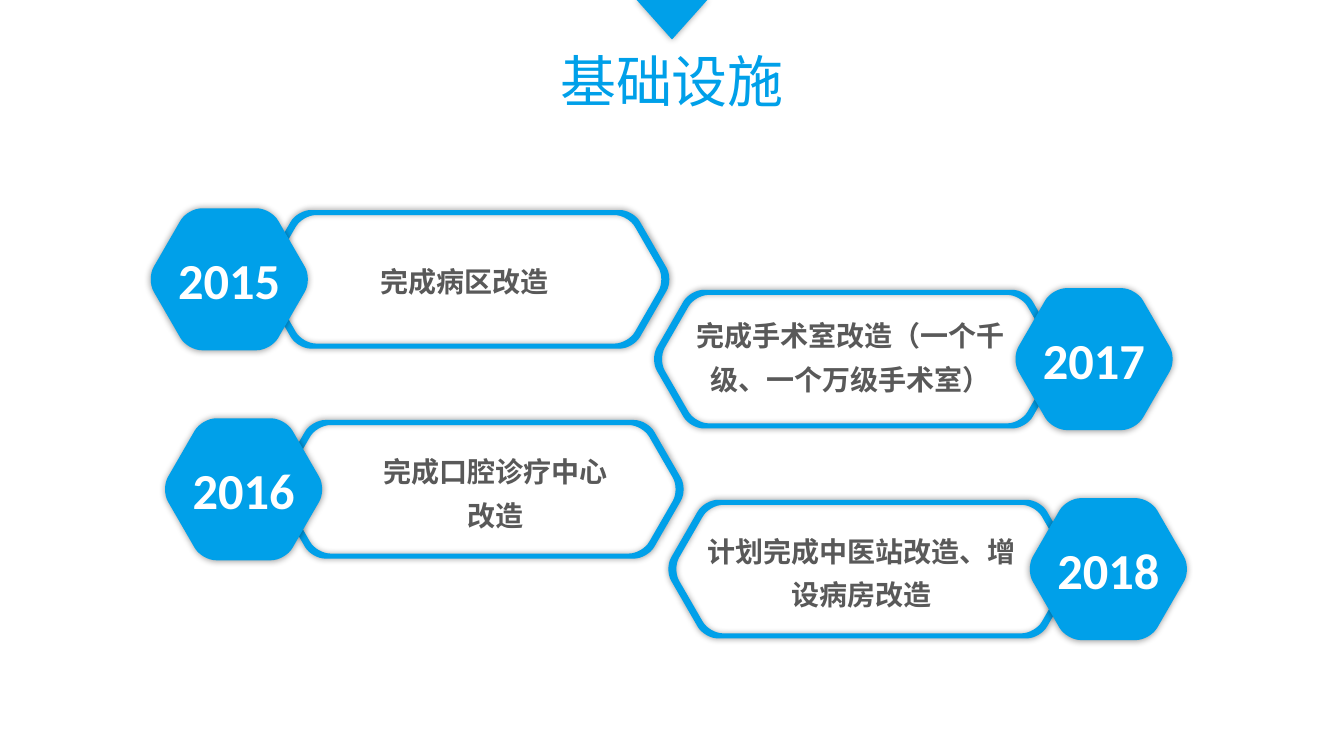
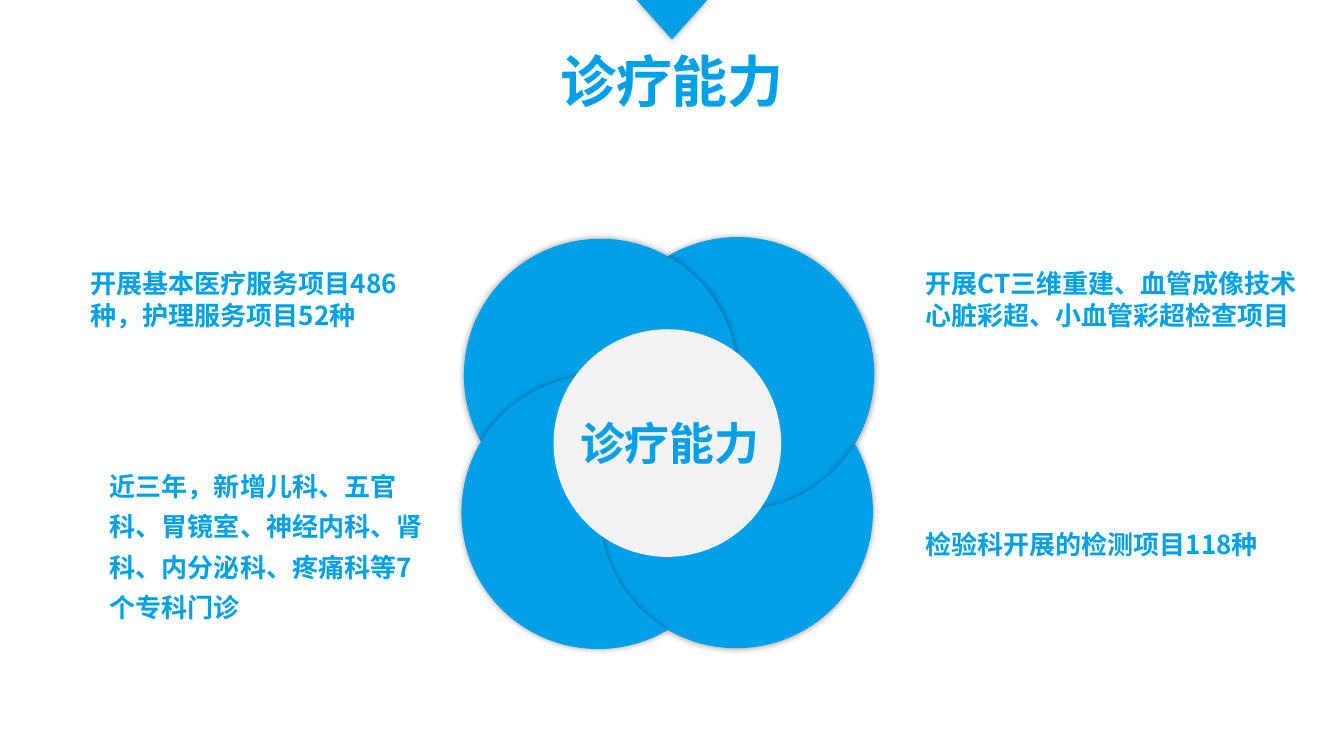
from math import acos, atan2, ceil, cos, hypot, pi, sin, sqrt, tan

from lxml.etree import SubElement
from pptx import Presentation
from pptx.dml.color import RGBColor
from pptx.enum.shapes import MSO_SHAPE
from pptx.enum.text import MSO_ANCHOR, MSO_AUTO_SIZE, PP_ALIGN
from pptx.oxml.ns import qn
from pptx.util import Inches, Pt

# Square grid of 160 columns by 90 rows; all lengths below are in cells
COLUMNS, ROWS = 160, 90
CELL = Inches(1) / 12

BLUE, GREY, PALE, WHITE = "00A0E9", "595959", "F2F2F2", "FFFFFF"
CJK = "Noto Sans CJK JP"


def cells(*lengths):
    return [round(length * CELL) for length in lengths]


def color(hex_string):
    return RGBColor.from_string(hex_string)


# Shared elements
def paint(shape, fill, glow=True):
    shape.fill.solid()
    shape.fill.fore_color.rgb = color(fill)
    shape.line.fill.background()
    shape.shadow.inherit = False
    if glow:
        effects = shape._element.spPr.find(qn("a:effectLst"))
        shadow = SubElement(effects, qn("a:outerShdw"), blurRad=str(Pt(5)),
                            dist="0", dir="0", algn="ctr", rotWithShape="0")
        black = SubElement(shadow, qn("a:srgbClr"), val="000000")
        SubElement(black, qn("a:alpha"), val="40000")


def write(frame, text, size, fill, font=CJK, bold=True, align=PP_ALIGN.LEFT,
          spacing=None, before=None):
    frame.word_wrap = True
    frame.text = text
    for paragraph in frame.paragraphs:
        paragraph.alignment = align
        paragraph.line_spacing = spacing
        paragraph.space_before = before
        paragraph._p.get_or_add_pPr().set("hangingPunct", "0")
        for run in paragraph.runs:
            run.font.size = Pt(size)
            run.font.bold = bold
            run.font.name = font
            run.font.color.rgb = color(fill)
            SubElement(run.font._element, qn("a:ea"), typeface=CJK)


def add_text(slide, box, text, size, fill, **style):
    frame = slide.shapes.add_textbox(*cells(*box)).text_frame
    write(frame, text, size, fill, **style)
    frame.auto_size = MSO_AUTO_SIZE.SHAPE_TO_FIT_TEXT
    return frame


def add_outline(slide, x, y, width, height, *contours):
    """Freeform centred on x, y; a step of one point is a line, of three a curve."""
    left, top = x - width / 2, y - height / 2
    right, bottom = left + width, top + height
    builder = slide.shapes.build_freeform(*cells(left, top), scale=1.0)
    builder.add_line_segments([cells(right, top), cells(right, bottom),
                               cells(left, bottom)], close=True)
    shape = builder.convert_to_shape()
    outline = shape._element.find(".//" + qn("a:path"))
    for edge in list(outline):
        outline.remove(edge)
    for contour in contours:
        for i, step in enumerate(contour):
            kind = "moveTo" if i == 0 else "lnTo" if len(step) == 1 else "cubicBezTo"
            edge = SubElement(outline, qn("a:" + kind))
            for point in step:
                across, down = cells(point[0] - left, point[1] - top)
                SubElement(edge, qn("a:pt"), x=str(across), y=str(down))
        SubElement(outline, qn("a:close"))
    paint(shape, BLUE)
    return shape


def add_titled_slide(deck, title, bold):
    slide = deck.slides.add_slide(deck.slide_layouts[6])
    width = 72.4
    heading = add_text(slide, ((COLUMNS - width) / 2, 5.1, width, 9), title, 40,
                       BLUE, bold=bold, align=PP_ALIGN.CENTER)
    heading.margin_left = heading.margin_right = Inches(0.07)
    heading.margin_top = heading.margin_bottom = Inches(0.04)
    width = 8.4
    pointer = slide.shapes.add_shape(
        MSO_SHAPE.ISOSCELES_TRIANGLE,
        *cells((COLUMNS - width) / 2, 0, width, 4.7))
    pointer.rotation = 180
    paint(pointer, BLUE)
    return slide


# Milestones
def toward(start, end, share):
    return [a + (b - a) * share for a, b in zip(start, end)]


def rounded_hexagon(x, y, width, height, cut):
    """Contour of a 60-degree hexagon centred on x, y, its corners rounded."""
    side, rise = width / 2, height / 2
    top = side - rise / sqrt(3)
    corners = [(x - side, y), (x - top, y - rise), (x + top, y - rise),
               (x + side, y), (x + top, y + rise), (x - top, y + rise)]
    contour = []
    for i, corner in enumerate(corners):
        first, last = [
            toward(corner, other, cut / hypot(other[0] - corner[0],
                                              other[1] - corner[1]))
            for other in (corners[i - 1], corners[(i + 1) % 6])]
        bend = [toward(first, corner, 0.55), toward(last, corner, 0.55), last]
        contour += [[first], bend]
    return contour


def add_milestone(slide, year, x, y, side):
    frame_x = x + side * 28.1
    add_outline(slide, frame_x, y, 48.6, 16.5,
                rounded_hexagon(frame_x, y, 49.5, 16.5, 1.6),
                rounded_hexagon(frame_x, y, 47.6, 15.3, 1.6))
    badge = add_outline(slide, x, y, 18.8, 16.9,
                        rounded_hexagon(x, y, 19.7, 16.9, 1.7))
    write(badge.text_frame, year, 36, WHITE, font="Calibri",
          align=PP_ALIGN.CENTER)
    badge.text_frame.vertical_anchor = MSO_ANCHOR.MIDDLE


def build_facilities(deck):
    slide = add_titled_slide(deck, "基础设施", bold=False)
    rows = [("2015", "2017"), ("2016", "2018")]
    for row, (left_year, right_year) in enumerate(rows):
        shift, drop = row * 1.7, row * 25
        add_milestone(slide, left_year, 27.3 + shift, 33.25 + drop, 1)
        add_milestone(slide, right_year, 130.25 + shift, 42.75 + drop, -1)

    works = [
        ((36.7, 52.3, 44.6, 11.8), "完成口腔诊疗中心\n改造"),
        ((35.4, 29.7, 39.8, 6.5), "完成病区改造"),
        ((81.35, 36.15, 39.8, 11.2), "完成手术室改造（一个千级、一个万级手术室）"),
        ((82.7, 61.8, 39.8, 11.8), "计划完成中医站改造、增设病房改造"),
    ]
    for box, work in works:
        add_text(slide, box, work, 20, GREY, font="Arial",
                 align=PP_ALIGN.CENTER, spacing=1.3)


# Flower of four overlapping circles
def arc(center, radius, start, end):
    """Start step and curves, each of a quarter turn at most."""
    count = ceil(abs(end - start) / (pi / 2))
    turn = (end - start) / count
    pull = 4 / 3 * tan(turn / 4)

    def at(angle, lead):
        return (center[0] + radius * (cos(angle) - lead * sin(angle)),
                center[1] + radius * (sin(angle) + lead * cos(angle)))

    steps = [[at(start, 0)]]
    for i in range(count):
        a, b = start + i * turn, start + (i + 1) * turn
        steps.append([at(a, pull), at(b, -pull), at(b, 0)])
    return steps


def add_petal(slide, center, cover, radius):
    """Circle without the part its neighbour covers, turned by 45 degrees."""
    dx, dy = cover[0] - center[0], cover[1] - center[1]
    reach = hypot(dx, dy)
    facing = atan2(dy, dx) - pi / 4
    half = acos(reach / 2 / radius)
    neighbour = (center[0] + reach * cos(facing), center[1] + reach * sin(facing))
    rim = arc(center, radius, facing + half, facing + 2 * pi - half)
    bite = arc(neighbour, radius, facing + pi + half, facing + pi - half)
    shape = add_outline(slide, *center, 2 * radius, 2 * radius, rim + bite[1:])
    shape.rotation = 45


def build_capability(deck):
    slide = add_titled_slide(deck, "诊疗能力", bold=True)
    top_left, top_right = (71.5, 44.7), (87.8, 44.5)
    low_left, low_right = (71.2, 61), (87.65, 60.9)
    for center, cover in [(top_right, top_left), (top_left, low_left),
                          (low_right, top_right), (low_left, low_right)]:
        add_petal(slide, center, cover, 16.27)

    hub = slide.shapes.add_shape(MSO_SHAPE.OVAL, *cells(65.9, 39.2, 27.1, 27.1))
    paint(hub, PALE, glow=False)
    add_text(slide, (67.7, 48.9, 24.1, 7.7), "诊疗能力", 32, BLUE,
             align=PP_ALIGN.CENTER)

    # Notes around the flower
    add_text(slide, (11.9, 54.25, 40.1, 19.9),
             "近三年，新增儿科、五官科、胃镜室、神经内科、肾科、内分泌科、疼痛科等7个专科门诊",
             18.6, BLUE, spacing=1.3, before=Pt(8))
    notes = [
        ((9.6, 31.3, 42.8, 8.4), "开展基本医疗服务项目486种，护理服务项目52种"),
        ((109, 31.3, 48.2, 12.5),
         "开展CT三维重建、血管成像技术\n心脏彩超、小血管彩超检查项目"),
        ((109, 62.3, 43.7, 4.9), "检验科开展的检测项目118种"),
    ]
    for box, note in notes:
        add_text(slide, box, note, 18.6, BLUE)


def main():
    deck = Presentation()
    deck.slide_width, deck.slide_height = cells(COLUMNS, ROWS)
    build_facilities(deck)
    build_capability(deck)
    deck.save("out.pptx")


if __name__ == "__main__":
    main()
